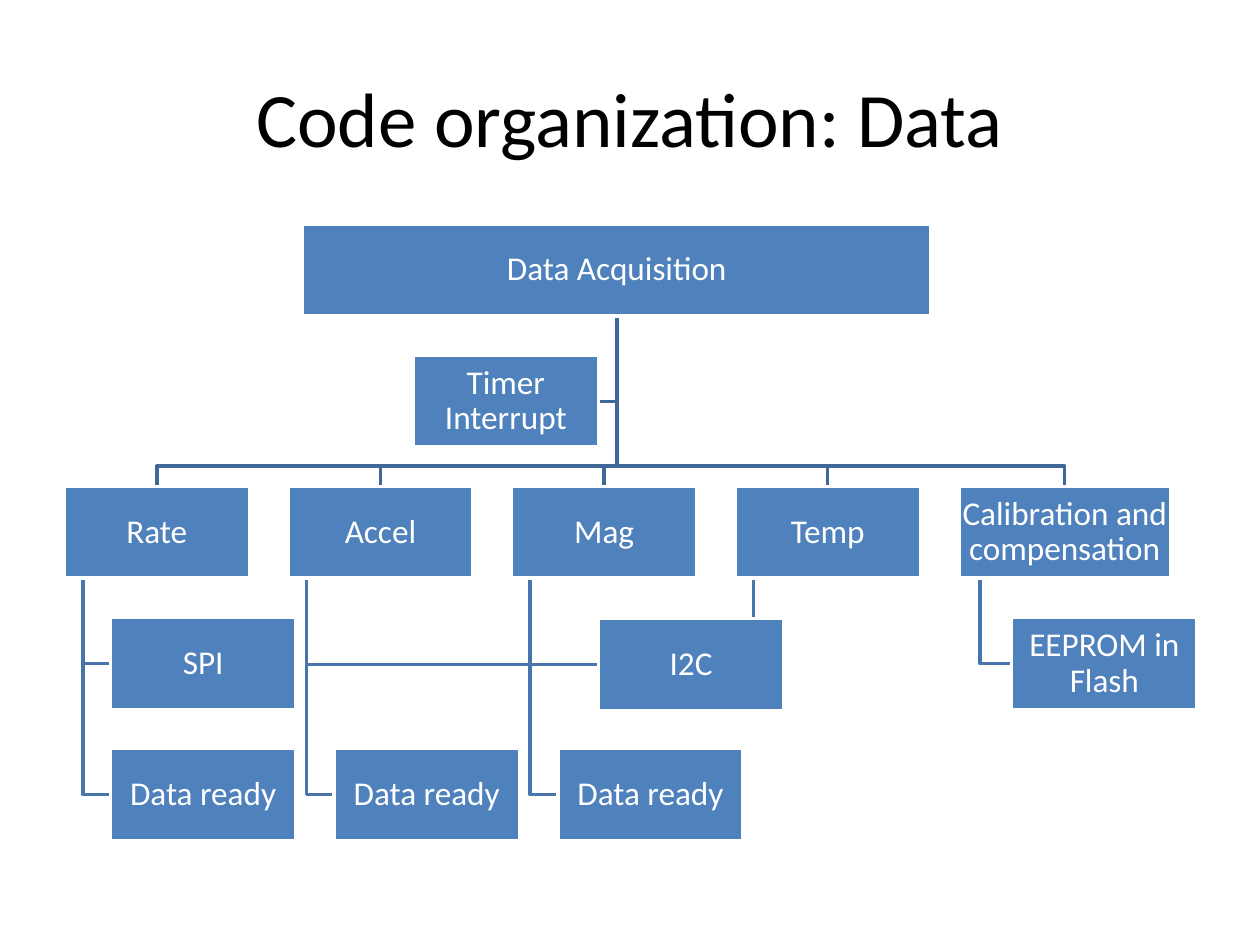
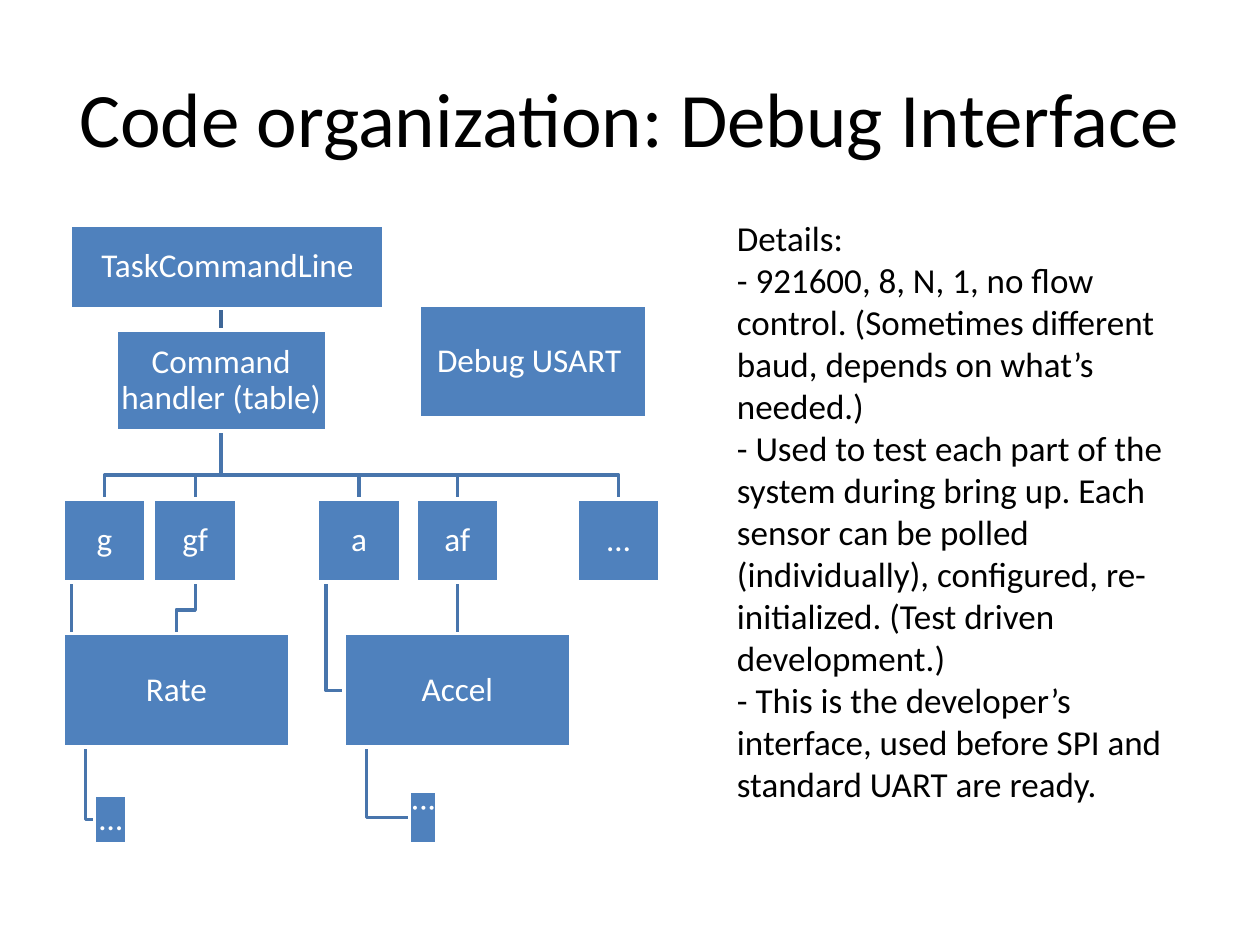
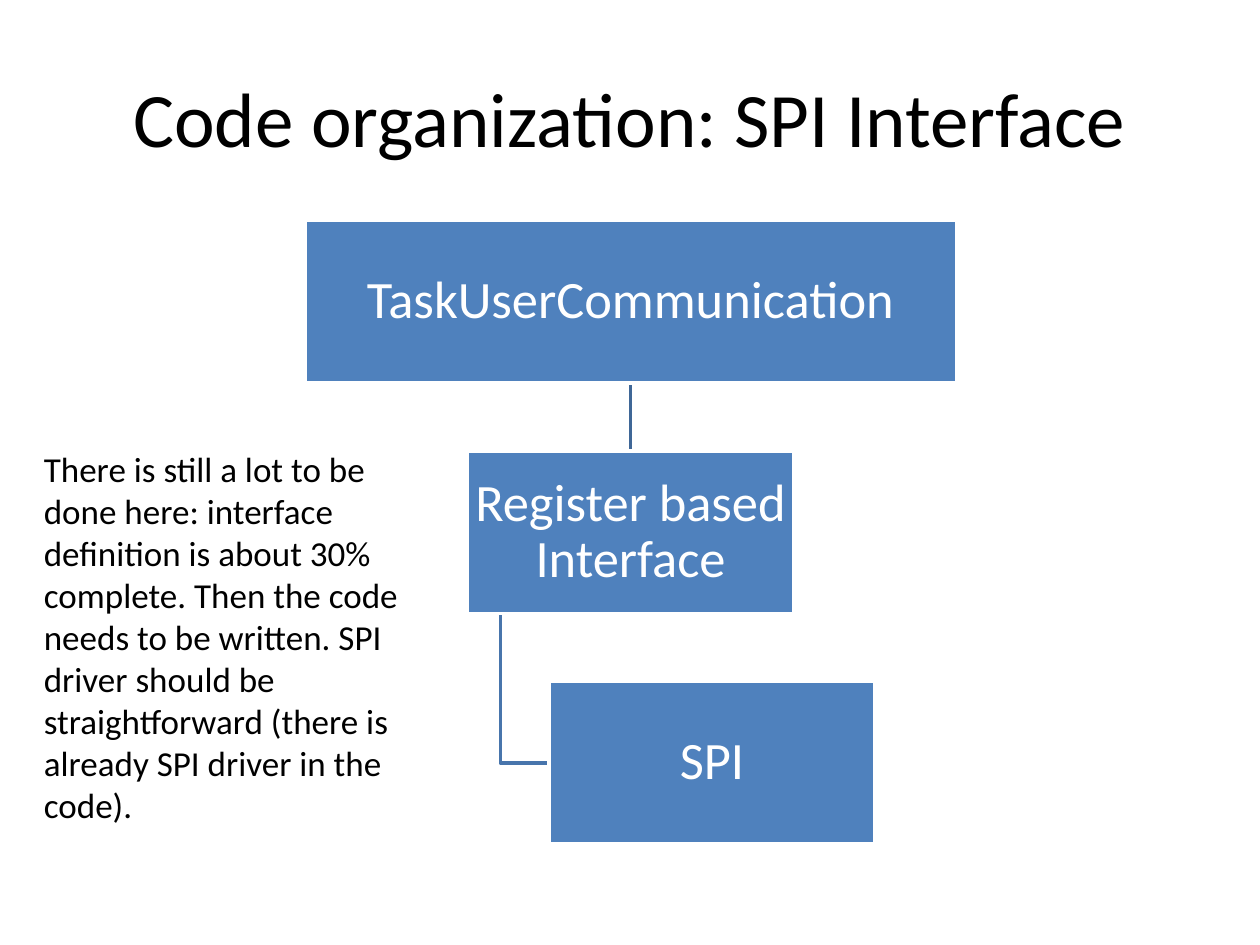
from collections import namedtuple

from lxml import etree
from pptx import Presentation
from pptx import util as u
from pptx.dml.color import RGBColor
from pptx.enum import shapes, text
from pptx.oxml import ns

FONT, INK, PAPER = "Calibri", "000000", "FFFFFF"
NODE, TRUNK, BRANCH = "4F81BD", "3F6797", "4875AC"
LINE = 2


class Box(namedtuple("Box", "x y w h")):
    @property
    def cx(self):
        return self.x + self.w / 2

    @property
    def cy(self):
        return self.y + self.h / 2

    @property
    def right(self):
        return self.x + self.w

    @property
    def bottom(self):
        return self.y + self.h

    def inner(self, x, y, w, h):
        return Box(self.x + x, self.y + y, w, h)

    def emu(self):
        return [u.Inches(v) for v in self]


def color(value):
    return RGBColor.from_string(value)


def write(sp, paragraphs, size, ink=INK, align=text.PP_ALIGN.LEFT,
          anchor=text.MSO_ANCHOR.TOP, inset=None, spacing=None):
    tf = sp.text_frame
    tf.word_wrap = True
    tf.vertical_anchor = anchor
    if inset is not None:
        tf.margin_left = tf.margin_right = u.Inches(inset)
        tf.margin_top = tf.margin_bottom = u.Inches(inset)
    for i, line in enumerate(paragraphs):
        p = tf.add_paragraph() if i else tf.paragraphs[0]
        p.alignment = align
        if spacing:
            p.line_spacing = spacing
        r = p.add_run()
        r.text = line
        r.font.name, r.font.size = FONT, u.Pt(size)
        r.font.color.rgb = color(ink)


def text_box(s, box, paragraphs, size, **fmt):
    write(s.shapes.add_textbox(*box.emu()), paragraphs, size, **fmt)


def node(s, box, label, size, inset=0.01, rotation=0):
    sp = s.shapes.add_shape(shapes.MSO_SHAPE.RECTANGLE, *box.emu())
    sp.shadow.inherit = False
    sp.fill.solid()
    sp.fill.fore_color.rgb = color(NODE)
    sp.line.color.rgb = color(PAPER)
    sp.line.width = u.Pt(LINE)
    sp.rotation = rotation
    write(sp, [label], size, ink=PAPER, align=text.PP_ALIGN.CENTER,
          anchor=text.MSO_ANCHOR.MIDDLE, inset=inset, spacing=0.9)


def link(s, points, ink):
    pts = [(u.Inches(x), u.Inches(y)) for x, y in points]
    if len(pts) == 2:
        sp = s.shapes.add_connector(shapes.MSO_CONNECTOR.STRAIGHT, *pts[0], *pts[1])
        etree.SubElement(sp._element.spPr, ns.qn("a:effectLst"))
    else:
        builder = s.shapes.build_freeform(*pts[0])
        builder.add_line_segments(pts[1:], close=False)
        sp = builder.convert_to_shape()
        sp.fill.background()
        sp.shadow.inherit = False
    sp.line.color.rgb = color(ink)
    sp.line.width = u.Pt(LINE)


def drop(s, parent, child, ink, gap=0.16):
    if abs(parent.cx - child.cx) < 0.02:
        points = [(child.cx, parent.bottom), (child.cx, child.y)]
    else:
        bus = child.y - gap
        points = [(parent.cx, parent.bottom), (parent.cx, bus),
                  (child.cx, bus), (child.cx, child.y)]
    link(s, points, ink)


def hang(s, parent, child):
    x = parent.x + parent.w / 10
    link(s, [(x, parent.bottom), (x, child.cy), (child.x, child.cy)], BRANCH)


def titled_slide(prs, title):
    s = prs.slides.add_slide(prs.slide_layouts[6])
    text_box(s, Box(0.5, 0.3, 9, 1.25), [title], 44,
             align=text.PP_ALIGN.CENTER, anchor=text.MSO_ANCHOR.MIDDLE)
    return s


def data_chart(s, box):
    w, h, col, row = 1.47, 0.73, 1.775, 1.04
    mid = box.w / 2
    root = box.inner(mid - 2.5, 0, 4.99, h)
    timer = box.inner(mid - 0.15 - w, row, w, h)
    heads = [box.inner(i * col, 2 * row, w, h) for i in range(4)]
    heads.append(box.inner(4 * col, 2 * row, box.w - 4 * col, h))

    def below(parent, level):
        return Box(parent.x + parent.w / 4, parent.y + level * row, w, h)

    spi, eeprom = below(heads[0], 1), below(heads[4], 1)
    bus = box.inner(4.24, 3 * row + 0.01, w, h)
    ready = [below(head, 2) for head in heads[:3]]

    link(s, [(root.cx, root.bottom), (root.cx, timer.cy), (timer.right, timer.cy)], TRUNK)
    for head in heads:
        drop(s, root, head, TRUNK)
    pairs = [(heads[0], spi), (heads[4], eeprom)]
    pairs += [(head, bus) for head in heads[1:4]] + list(zip(heads, ready))
    for parent, child in pairs:
        hang(s, parent, child)

    names = ["Rate", "Accel", "Mag", "Temp", "Calibration and compensation"]
    labels = [(root, "Data Acquisition"), (timer, "Timer Interrupt"), (spi, "SPI"),
              (bus, "I2C"), (eeprom, "EEPROM in Flash")]
    labels += list(zip(heads, names)) + [(b, "Data ready") for b in ready]
    for b, label in labels:
        node(s, b, label, 19)


def debug_chart(s, box):
    key, row, wide, tall = 0.66, 2.21, 1.8, 0.9
    task = box.inner(0.06, 0.04, 2.49, key)
    handler = box.inner(0.42, 0.87, 1.67, 0.8)
    usart = box.inner(2.83, 0.67, wide, tall)
    keys = [box.inner(x, row, key, key) for x in (0, 0.72, 2.02, 2.8, 4.08)]
    g, gf, a, af, _ = keys
    rate, accel = [box.inner(x, 3.28, wide, tall) for x in (0, 2.23)]
    rate_more = box.inner(0.25, 4.56, 0.26, 0.39)
    accel_more = box.inner(2.75, 4.53, 0.22, 0.42)

    link(s, [(handler.cx, task.bottom), (handler.cx, handler.y)], TRUNK)
    for parent, child in [(handler, k) for k in keys] + [(gf, rate), (af, accel)]:
        drop(s, parent, child, BRANCH, gap=0.19)
    for parent, child in [(g, rate), (a, accel), (rate, rate_more), (accel, accel_more)]:
        hang(s, parent, child)

    labels = [(task, "TaskCommandLine"), (handler, "Command handler (table)"),
              (usart, "Debug USART "), (rate, "Rate"), (accel, "Accel"), (rate_more, "…")]
    for b, label in labels + list(zip(keys, ["g", "gf", "a", "af", "…"])):
        node(s, b, label, 19)
    node(s, accel_more, "…", 19, rotation=180)


def spi_chart(s, box):
    h, row, half = 1.29, 1.83, box.w / 2
    task = box.inner(0, 0, box.w, h)
    register = box.inner(box.w / 4, row, half, h)
    spi = box.inner(box.w * 3 / 8, 2 * row, half, h)
    drop(s, task, register, TRUNK)
    hang(s, register, spi)
    for b, label in [(task, "TaskUserCommunication"),
                     (register, "Register based Interface"), (spi, "SPI")]:
        node(s, b, label, 30, inset=0.02)


prs = Presentation()
prs.slide_width, prs.slide_height = u.Inches(10), u.Inches(7.5)

s = titled_slide(prs, "Code organization: Data")
data_chart(s, Box(0.51, 1.78, 8.78, 4.89))

s = titled_slide(prs, "Code organization: Debug Interface")
debug_chart(s, Box(0.5, 1.75, 4.74, 4.95))
text_box(s, Box(5.75, 1.67, 3.58, 5.12), [
    "Details:",
    "- 921600, 8, N, 1, no flow control. (Sometimes different baud, "
    "depends on what’s needed.)",
    "- Used to test each part of the system during bring up. Each sensor can be "
    "polled (individually), configured, re-initialized. (Test driven development.)",
    "- This is the developer’s interface, used before SPI and standard UART are ready.",
], 20)

s = titled_slide(prs, "Code organization: SPI Interface")
spi_chart(s, Box(2.42, 1.75, 5.17, 4.95))
text_box(s, Box(0.25, 3.5, 3.33, 3.13), [
    "There is still a lot to be done here: interface definition is about 30% complete. "
    "Then the code needs to be written. SPI driver should be straightforward "
    "(there is already SPI driver in the code).",
], 20)

prs.save("out.pptx")
